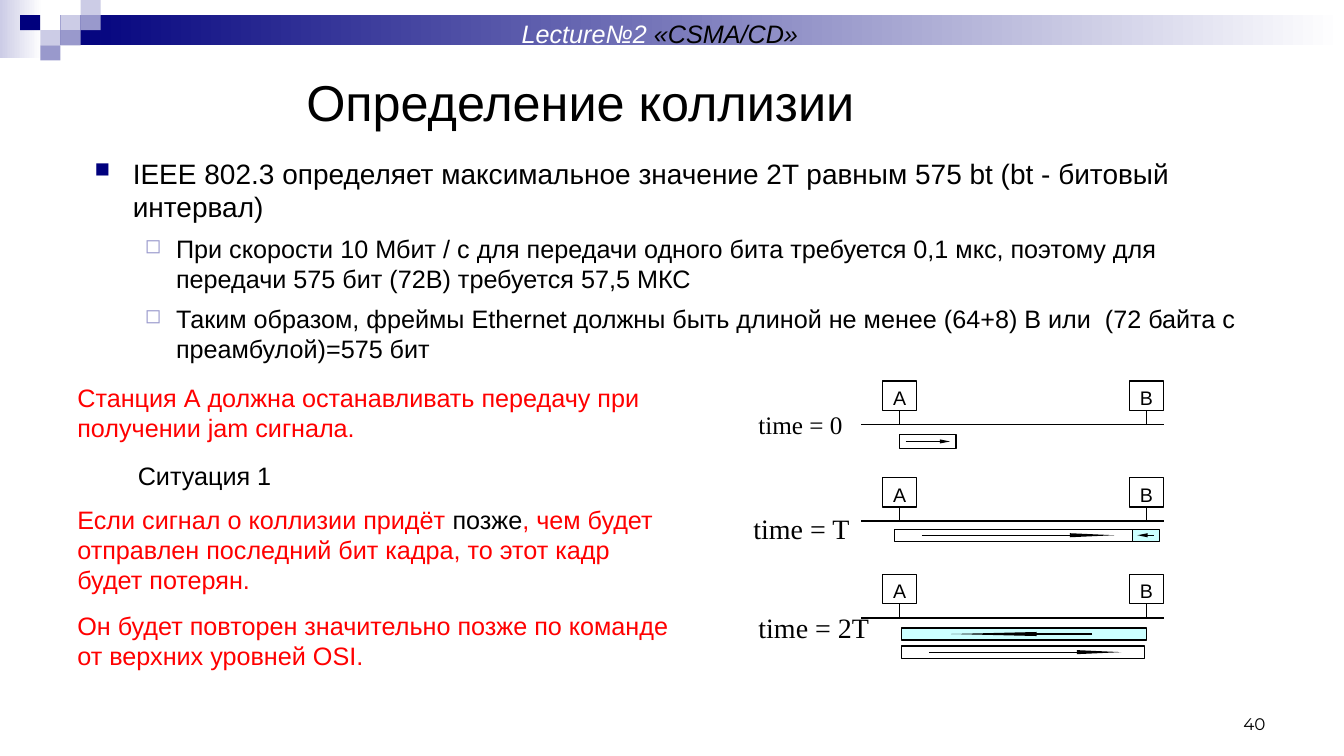
from dataclasses import dataclass
from typing import Any

import pptx
import pptx.dml.color
import pptx.enum.shapes
import pptx.enum.text
import pptx.oxml
import pptx.oxml.ns
import pptx.util

PX = 9144  # EMU in one px, 100 px to the inch
ALIGN = pptx.enum.text.PP_ALIGN
ANCHOR = pptx.enum.text.MSO_ANCHOR
RECTANGLE = pptx.enum.shapes.MSO_SHAPE.RECTANGLE
STRAIGHT = pptx.enum.shapes.MSO_CONNECTOR.STRAIGHT


@dataclass(frozen=True)
class Theme:
    black: str = "000000"
    white: str = "FFFFFF"
    red: str = "FF0000"
    navy: str = "00007D"
    violet: str = "9999CC"
    pale: str = "CCCCE6"
    cyan: str = "CCFFFF"
    sans: str = "Arial"
    serif: str = "Times New Roman"
    number: str = "Montserrat"
    title_size: int = 36
    large_size: int = 20
    text_size: int = 18
    station_size: int = 14
    number_size: int = 12
    line_width: float = 0.88


THEME = Theme()


@dataclass(frozen=True)
class Box:
    left: int
    top: int
    width: int
    height: int

    def emu(self) -> list[int]:
        return [value * PX for value in (self.left, self.top, self.width, self.height)]


@dataclass(frozen=True)
class Run:
    text: str
    color: str = THEME.black
    size: int = THEME.text_size
    font: str = THEME.sans
    italic: bool = False


@dataclass(frozen=True)
class Bullet:
    character: str
    color: str
    percent: int
    margin: int
    indent: int
    level: int


@dataclass(frozen=True)
class Line:
    runs: list[Run]
    before: float = 0
    bullet: Bullet | None = None


@dataclass(frozen=True)
class Signal:
    """A frame on the wire: its bar, the arrow shaft and the tip of the arrow."""
    bar: Box
    start: int
    end: int
    tip: int
    head: int
    fill: str | None = None


@dataclass(frozen=True)
class Moment:
    label: Run
    label_box: Box
    signals: list[Signal]


MAIN = Bullet("■", THEME.navy, 75, 38, -38, 0)
SUB = Bullet("◻", THEME.violet, 80, 81, -31, 1)
FACTS = [
    Line([Run("IEEE 802.3 определяет максимальное значение 2T равным 575 bt (bt - битовый интервал)",
              size=THEME.large_size)], bullet=MAIN),
    Line([Run("При скорости 10 Мбит / с для передачи одного бита требуется 0,1 мкс, "
              "поэтому для передачи 575 бит (72B) требуется 57,5 МКС")], 6.8, SUB),
    Line([Run("Таким образом, фреймы Ethernet должны быть длиной не менее (64+8) В или  "
              "(72 байта с преамбулой)=575 бит")], 6.8, SUB),
]
WARNINGS = [
    Line([Run("Станция А должна останавливать передачу при получении jam сигнала.", THEME.red)]),
    Line([Run("Если сигнал о коллизии придёт ", THEME.red), Run("позже"),
          Run(", чем будет отправлен последний бит кадра, то этот кадр будет потерян.", THEME.red)], 44),
    Line([Run("Он будет повторен значительно позже по команде от верхних уровней OSI.", THEME.red)], 11.2),
]
MOMENTS = [
    Moment(Run("time = 0", font=THEME.serif), Box(743, 401, 103, 40),
           [Signal(Box(893, 431, 56, 14), 899, 935, 943, 10)]),
    Moment(Run("time = T", size=THEME.large_size, font=THEME.serif), Box(738, 503, 116, 44),
           [Signal(Box(888, 525, 242, 12), 915, 1079, 1106, 44),
            Signal(Box(1124, 525, 27, 12), 1145, 1137, 1129, 10, THEME.cyan)]),
    Moment(Run("time = 2T", size=THEME.large_size, font=THEME.serif), Box(743, 601, 130, 44),
           [Signal(Box(895, 623, 243, 12), 1084, 1014, 944, 85, THEME.cyan),
            Signal(Box(895, 641, 241, 12), 922, 1085, 1113, 44)]),
]
FIRST_ROW, ROW_PITCH = 378, 96
STATIONS = {"A": 876, "B": 1121}
BUS_LEFT, BUS_RIGHT, BUS_DROP = 855, 1155, 43
CELL_WIDTH, CELL_HEIGHT = 20, 15
MOSAIC = [(3, 1, THEME.pale), (4, 0, THEME.pale), (4, 1, THEME.violet), (2, 2, THEME.pale),
          (1, 1, THEME.navy), (3, 2, THEME.violet), (2, 3, THEME.violet)]


def rgb(color: str) -> Any:
    return pptx.dml.color.RGBColor.from_string(color)


def set_all(target: Any, values: dict[str, Any]) -> None:
    for name, value in values.items():
        setattr(target, name, value)


def add_bullet(paragraph: Any, bullet: Bullet) -> None:
    paragraph.level = bullet.level
    properties = paragraph._p.get_or_add_pPr()
    properties.set("marL", str(bullet.margin * PX))
    properties.set("indent", str(bullet.indent * PX))
    namespace = pptx.oxml.ns.nsdecls("a")
    for xml in (f'<a:buClr {namespace}><a:srgbClr val="{bullet.color}"/></a:buClr>',
                f'<a:buSzPct {namespace} val="{bullet.percent * 1000}"/>',
                f'<a:buChar {namespace} char="{bullet.character}"/>'):
        properties.append(pptx.oxml.parse_xml(xml))


def write(shape: Any, lines: list[Line], align: Any = ALIGN.LEFT, anchor: Any = ANCHOR.TOP,
          wrap: bool = True, margins: tuple[int, int] = (10, 5)) -> None:
    frame = shape.text_frame
    side, edge = (margin * PX for margin in margins)
    set_all(frame, {"word_wrap": wrap, "vertical_anchor": anchor,
                    "auto_size": pptx.enum.text.MSO_AUTO_SIZE.NONE,
                    "margin_left": side, "margin_right": side,
                    "margin_top": edge, "margin_bottom": edge})
    for index, line in enumerate(lines):
        paragraph = frame.add_paragraph() if index else frame.paragraphs[0]
        set_all(paragraph, {"alignment": align, "space_before": pptx.util.Pt(line.before)})
        if line.bullet:
            add_bullet(paragraph, line.bullet)
        for part in line.runs:
            run = paragraph.add_run()
            run.text = part.text
            set_all(run.font, {"size": pptx.util.Pt(part.size), "name": part.font, "italic": part.italic})
            run.font.color.rgb = rgb(part.color)


def add_text(slide: Any, box: Box, lines: list[Line], **options: Any) -> None:
    write(slide.shapes.add_textbox(*box.emu()), lines, **options)


def add_rectangle(slide: Any, box: Box, fill: str | None = None, outlined: bool = False) -> Any:
    shape = slide.shapes.add_shape(RECTANGLE, *box.emu())
    shape.shadow.inherit = False
    if fill:
        shape.fill.solid()
        shape.fill.fore_color.rgb = rgb(fill)
    else:
        shape.fill.background()
    if outlined:
        shape.line.color.rgb = rgb(THEME.black)
        shape.line.width = pptx.util.Pt(THEME.line_width)
    else:
        shape.line.fill.background()
    return shape


def add_gradient(slide: Any, box: Box, color: str) -> None:
    """Draw a band that fades to white from left to right."""
    fill = add_rectangle(slide, box).fill
    fill.gradient()
    fill.gradient_angle = 0
    for stop, stop_color in zip(fill.gradient_stops, (color, THEME.white)):
        stop.color.rgb = rgb(stop_color)


def add_line(slide: Any, left: int, top: int, right: int, bottom: int) -> Any:
    line = slide.shapes.add_connector(STRAIGHT, left * PX, top * PX, right * PX, bottom * PX)
    line.line.color.rgb = rgb(THEME.black)
    line.line.width = pptx.util.Pt(THEME.line_width)
    line._element.spPr.append(pptx.oxml.parse_xml(f'<a:effectLst {pptx.oxml.ns.nsdecls("a")}/>'))
    return line


def add_signal(slide: Any, signal: Signal) -> None:
    add_rectangle(slide, signal.bar, signal.fill, outlined=True)
    middle = signal.bar.top + signal.bar.height // 2
    add_line(slide, signal.start, middle, signal.end, middle)
    back = signal.tip + (signal.head if signal.start > signal.tip else -signal.head)
    builder = slide.shapes.build_freeform(back, middle - 2, PX)
    builder.add_line_segments([(signal.tip, middle), (back, middle + 2)])
    head = builder.convert_to_shape()
    head.shadow.inherit = False
    head.fill.solid()
    head.fill.fore_color.rgb = rgb(THEME.black)
    head.line.fill.background()


def add_moment(slide: Any, moment: Moment, top: int) -> None:
    bus = top + BUS_DROP
    for name, left in STATIONS.items():
        station = add_rectangle(slide, Box(left, top, 34, 29), outlined=True)
        write(station, [Line([Run(name, size=THEME.station_size)])], align=ALIGN.CENTER,
              anchor=ANCHOR.BOTTOM, margins=(0, 1))
        add_line(slide, left + 17, top + 29, left + 17, bus).begin_connect(station, 2)
    add_line(slide, BUS_LEFT, bus, BUS_RIGHT, bus)
    for signal in moment.signals:
        add_signal(slide, signal)
    add_text(slide, moment.label_box, [Line([moment.label])], wrap=False)


def main() -> None:
    presentation = pptx.Presentation()
    set_all(presentation, {"slide_width": 1334 * PX, "slide_height": 750 * PX})
    slide = presentation.slides.add_slide(presentation.slide_layouts[5])
    add_gradient(slide, Box(0, 0, 42, 58), THEME.pale)
    add_gradient(slide, Box(60, 15, 1273, 30), THEME.navy)
    for column, row, color in MOSAIC:
        add_rectangle(slide, Box(column * CELL_WIDTH, row * CELL_HEIGHT, CELL_WIDTH, CELL_HEIGHT), color)

    title = slide.shapes.title
    set_all(title, dict(zip(("left", "top", "width", "height"), Box(294, 59, 792, 83).emu())))
    write(title, [Line([Run("Определение коллизии", size=THEME.title_size)])], anchor=ANCHOR.MIDDLE)
    add_text(slide, Box(508, 13, 294, 40),
             [Line([Run("Lecture№2", THEME.white, italic=True), Run(" «CSMA/CD»", italic=True)])],
             align=ALIGN.CENTER, wrap=False)
    add_text(slide, Box(84, 150, 1166, 219), FACTS)
    add_text(slide, Box(67, 374, 607, 297), WARNINGS)
    add_text(slide, Box(127, 452, 224, 40), [Line([Run("Ситуация 1")])])
    for index, moment in enumerate(MOMENTS):
        add_moment(slide, moment, FIRST_ROW + index * ROW_PITCH)
    add_text(slide, Box(1186, 683, 80, 50),
             [Line([Run("40", size=THEME.number_size, font=THEME.number)])],
             align=ALIGN.RIGHT, anchor=ANCHOR.BOTTOM)
    presentation.save("out.pptx")


if __name__ == "__main__":
    main()
